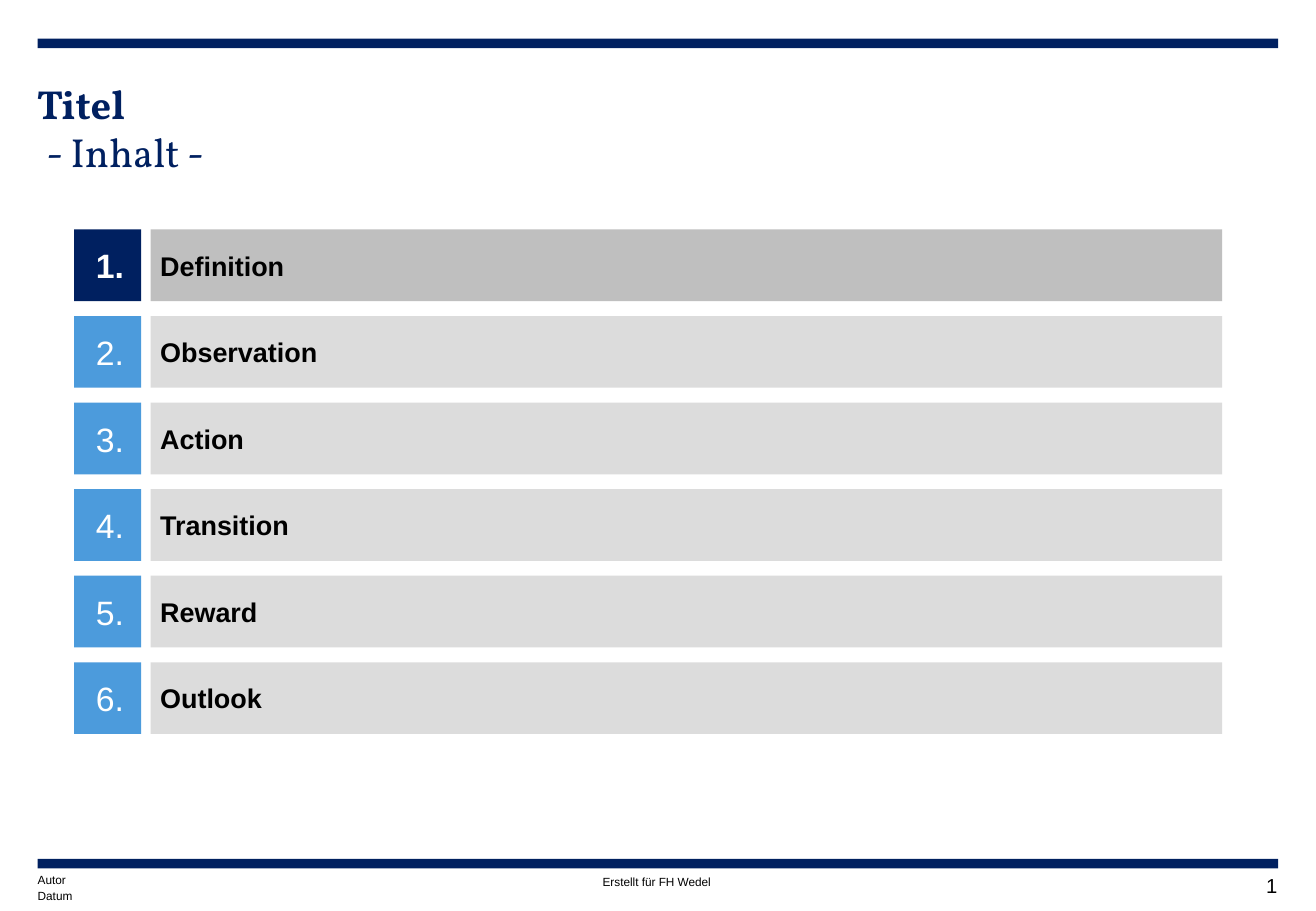
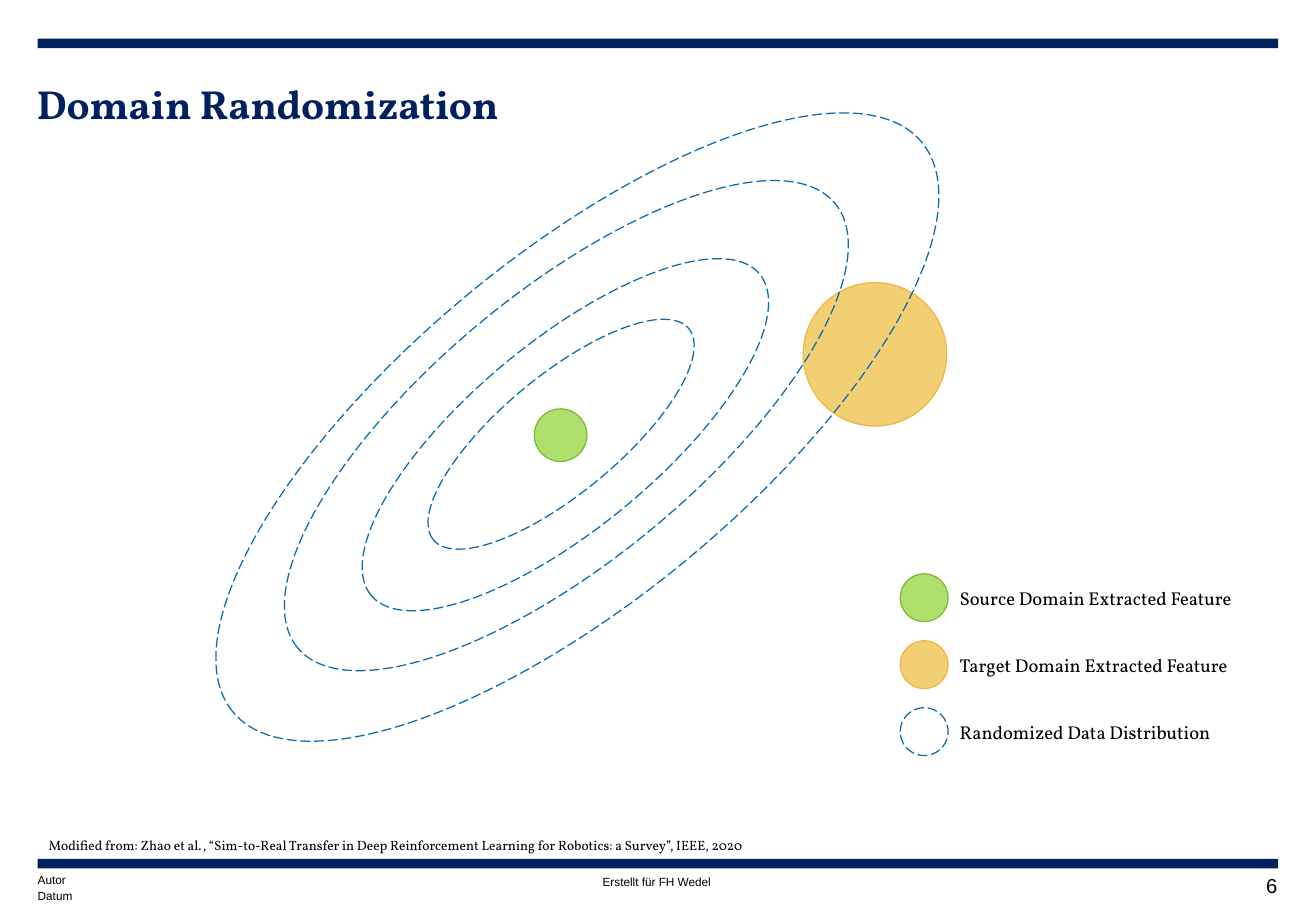
from pptx import Presentation
from pptx import util as u
from pptx.dml import color
from pptx.enum import dml, shapes, text

NAVY, BLUE, SKY = "002060", "066BB0", "4C9BDC"
BLACK, WHITE = "000000", "FFFFFF"
GREY, PALE = "BFBFBF", "DCDCDC"
SOURCE = {"fill": "AFE06E", "line": "7DB935"}
TARGET = {"fill": "F3CF74", "line": "EFB643"}
RANDOMIZED = {"line": BLUE, "dashed": True}
INNER = (0.25, 0.13, 0.25, 0.13)
LEFT, WIDTH = 0.79, 25.93


def rgb(value):
    """Turn a hex string into a colour."""
    return color.RGBColor.from_string(value)


class Deck:
    """Hold the style and the current slide of the presentation."""

    def __init__(self):
        """Start an empty presentation."""
        self.presentation = Presentation()
        self.presentation.slide_width = u.Cm(27.51)
        self.presentation.slide_height = u.Cm(19.05)
        self.slide = None

    def add_slide(self, title, number, subtitle=None):
        """Add a slide with bands, title and footer."""
        layout = self.presentation.slide_layouts[6]
        self.slide = self.presentation.slides.add_slide(layout)
        for top in (0.81, 17.96):
            self.shape(LEFT, top, WIDTH, 0.2, fill=NAVY)
        self.add_title(title, subtitle)
        self.label("Autor", LEFT, 18.26, 4.7, 0.3, 7)
        self.label("Datum", LEFT, 18.59, 2.18, 0.3, 7)
        self.label("Erstellt für FH Wedel", 12.6, 18.29, 2.6, 0.3, 7)
        self.label(str(number), 25.2, 18.26, 1.5, 0.5, 12,
                   align=text.PP_ALIGN.RIGHT)

    def add_title(self, title, subtitle):
        """Add the bold title and the optional plain subtitle."""
        box = self.label(title, 0.77, 1.65, WIDTH, 1.98, 24,
                         font="Vollkorn", ink=NAVY, bold=True)
        if subtitle:
            paragraph = box.text_frame.add_paragraph()
            paragraph.text = subtitle
            paragraph._p.get_or_add_pPr().set("marL", str(u.Cm(0.2)))
            self.style_paragraph(paragraph, 24, "Vollkorn", NAVY, False)

    def style_paragraph(self, paragraph, size, font, ink, bold,
                        align=text.PP_ALIGN.LEFT):
        """Set the font and alignment of a paragraph."""
        paragraph.alignment = align
        for run in paragraph.runs:
            run.font.size = u.Pt(size)
            run.font.name = font
            run.font.bold = bold
            run.font.color.rgb = rgb(ink)

    def set_text(self, shape, words, size, font="Arial", ink=BLACK,
                 bold=False, align=text.PP_ALIGN.LEFT,
                 anchor=text.MSO_ANCHOR.TOP, margins=(0, 0, 0, 0)):
        """Put formatted words into a shape."""
        frame = shape.text_frame
        frame.word_wrap = True
        frame.vertical_anchor = anchor
        (frame.margin_left, frame.margin_top, frame.margin_right,
         frame.margin_bottom) = map(u.Cm, margins)
        frame.text = words
        self.style_paragraph(frame.paragraphs[0], size, font, ink, bold, align)

    def label(self, words, left, top, width, height, size, **style):
        """Add a text box."""
        box = self.slide.shapes.add_textbox(
            *map(u.Cm, (left, top, width, height)))
        self.set_text(box, words, size, **style)
        return box

    def shape(self, left, top, width, height, fill=None, line=None,
              dashed=False, kind=shapes.MSO_SHAPE.RECTANGLE):
        """Add a preset shape with its fill and outline."""
        shape = self.slide.shapes.add_shape(
            kind, *map(u.Cm, (left, top, width, height)))
        shape.shadow.inherit = False
        if fill:
            shape.fill.solid()
            shape.fill.fore_color.rgb = rgb(fill)
        else:
            shape.fill.background()
        if line:
            shape.line.color.rgb = rgb(line)
            shape.line.width = u.Pt(0.75)
        else:
            shape.line.fill.background()
        if dashed:
            shape.line.dash_style = dml.MSO_LINE.LONG_DASH
        return shape

    def ellipse(self, x, y, width, height, rotation=0, **style):
        """Add an ellipse around a centre point."""
        ellipse = self.shape(x - width / 2, y - height / 2, width, height,
                             kind=shapes.MSO_SHAPE.OVAL, **style)
        ellipse.rotation = rotation

    def agenda_row(self, number, topic, top, active):
        """Add a numbered agenda entry."""
        bar = self.shape(3.15, top, 22.4, 1.5, fill=GREY if active else PALE)
        self.set_text(bar, topic, 16, bold=True,
                      anchor=text.MSO_ANCHOR.MIDDLE,
                      margins=(0.2, 0.1, 0.1, 0.1))
        badge = self.shape(1.55, top, 1.4, 1.5, fill=NAVY if active else SKY)
        self.set_text(badge, f"{number}.", 20, ink=WHITE, bold=active,
                      align=text.PP_ALIGN.CENTER,
                      anchor=text.MSO_ANCHOR.MIDDLE,
                      margins=(0.3, 0.2, 0.2, 0.2))

    def legend_entry(self, words, y, style):
        """Add a legend circle with its label."""
        self.ellipse(19.32, y, 1, 1, **style)
        self.label(words, 19.81, y - 0.36, 6.58, 0.74, 11,
                   font="Vollkorn", margins=INNER)


def agenda(deck):
    """Build the agenda slide."""
    deck.add_slide("Titel", 1, "- Inhalt -")
    topics = ("Definition", "Observation", "Action", "Transition", "Reward",
              "Outlook")
    for index, topic in enumerate(topics):
        deck.agenda_row(index + 1, topic, 4.8 + 1.81 * index, index == 0)


def domain_randomization(deck):
    """Build the slide on domain randomization."""
    deck.add_slide("Domain Randomization", 6)
    deck.ellipse(18.29, 7.41, 3, 3, **TARGET)
    deck.ellipse(11.72, 9.1, 1.1, 1.1, **SOURCE)
    distributions = ((11.73, 9.08, 6.93, 2.46), (11.82, 9.09, 10.54, 3.91),
                     (11.84, 8.9, 14.58, 5.61), (12.07, 8.93, 18.69, 7.19))
    for distribution in distributions:
        deck.ellipse(*distribution, rotation=320.4, **RANDOMIZED)
    legend = (("Source Domain Extracted Feature", SOURCE),
              ("Target Domain Extracted Feature", TARGET),
              ("Randomized Data Distribution", RANDOMIZED))
    for index, (words, style) in enumerate(legend):
        deck.legend_entry(words, 12.5 + 1.4 * index, style)
    deck.label("Modified from: Zhao et al., “Sim-to-Real Transfer in Deep "
               "Reinforcement Learning for Robotics: a Survey”, IEEE, 2020",
               0.77, 17.37, 23.37, 0.6, 8, font="Vollkorn", margins=INNER)


def main():
    """Build and save the presentation."""
    deck = Deck()
    agenda(deck)
    domain_randomization(deck)
    deck.presentation.save("out.pptx")


if __name__ == "__main__":
    main()
